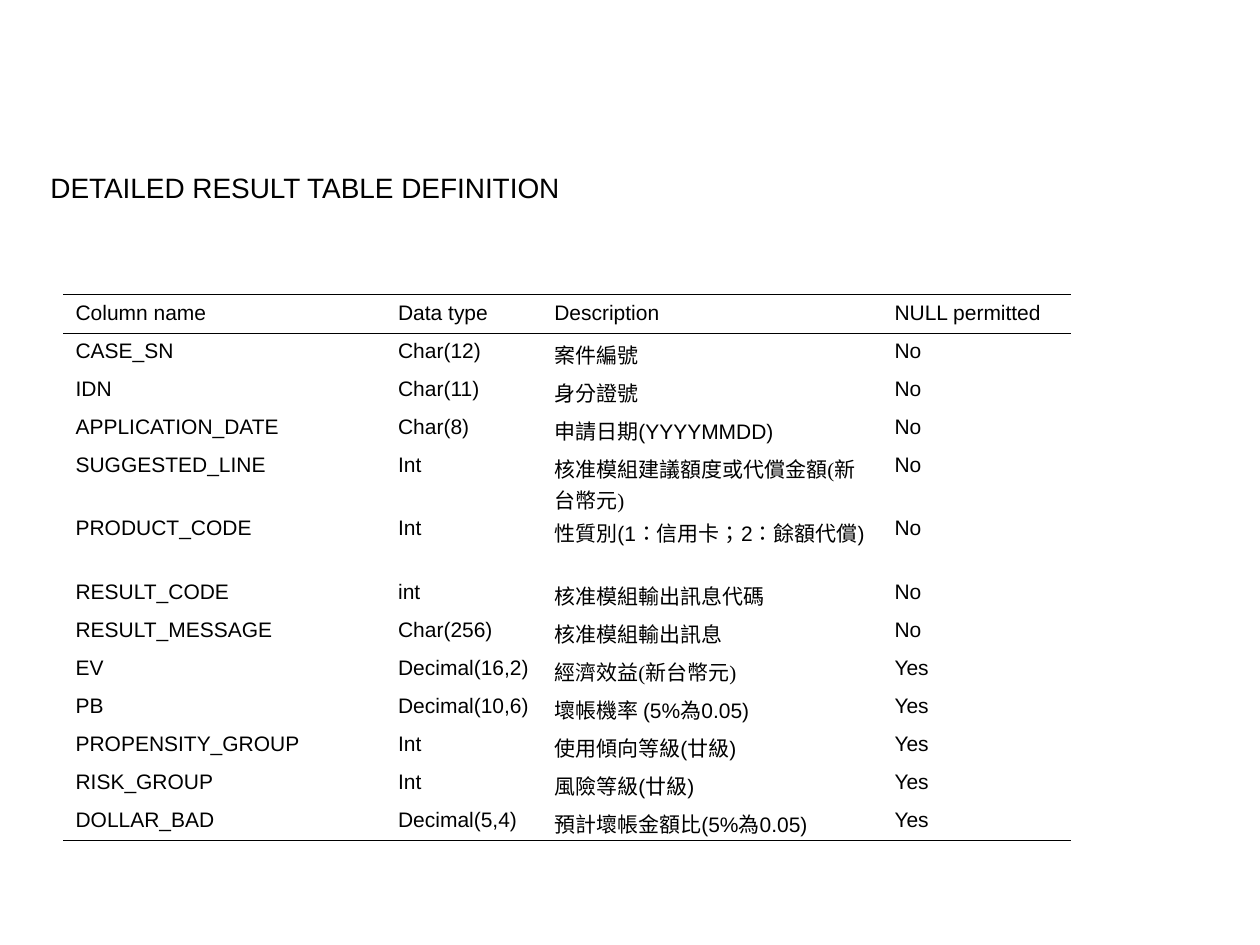
from lxml import etree
from pptx import Presentation
from pptx.dml.color import RGBColor
from pptx.enum.text import MSO_ANCHOR, PP_ALIGN
from pptx.oxml.ns import qn
from pptx.util import Inches, Pt

TOP, LEFT = MSO_ANCHOR.TOP, PP_ALIGN.LEFT
SANS, SERIF = "Arial", "Times New Roman"
INK = "000000"
THIN, THICK = 0.45, 0.75

TITLE = "DETAILED RESULT TABLE DEFINITION"
HEAD = ("Column name", "Data type", "Description", "NULL permitted")
# A description made of several runs is a list of (text, font) pairs.
FIELDS = [
    ("CASE_SN", "Char(12)", "案件編號", "No"),
    ("IDN", "Char(11)", "身分證號", "No"),
    ("APPLICATION_DATE", "Char(8)", "申請日期(YYYYMMDD)", "No"),
    ("SUGGESTED_LINE", "Int",
     [("核准模組建議額度或代償金額(", SERIF), ("新台幣元", SANS), (")", SERIF)], "No"),
    ("PRODUCT_CODE", "Int", "性質別(1：信用卡；2：餘額代償)", "No"),
    ("RESULT_CODE", "int", "核准模組輸出訊息代碼", "No"),
    ("RESULT_MESSAGE", "Char(256)", "核准模組輸出訊息", "No"),
    ("EV", "Decimal(16,2)",
     [("經濟效益", SANS), ("(", SERIF), ("新台幣元", SANS), (")", SERIF)], "Yes"),
    ("PB", "Decimal(10,6)", "壞帳機率 (5%為0.05)", "Yes"),
    ("PROPENSITY_GROUP", "Int", "使用傾向等級(廿級)", "Yes"),
    ("RISK_GROUP", "Int", "風險等級(廿級)", "Yes"),
    ("DOLLAR_BAD", "Decimal(5,4)", "預計壞帳金額比(5%為0.05)", "Yes"),
]
ROWS = [HEAD] + FIELDS
WIDTHS = (2.56, 1.24, 2.7, 1.5)
TALL = ("SUGGESTED_LINE", "PRODUCT_CODE")
HEIGHTS = [Pt(36.3 if row[0] in TALL else 21.75) for row in ROWS]


def color(code):
    return RGBColor.from_string(code)


def write(frame, text, size):
    para = frame.paragraphs[0]
    para.alignment = LEFT
    para.space_before = Pt(0)
    for part, face in [(text, SANS)] if isinstance(text, str) else text:
        run = para.add_run()
        run.text = part
        run.font.name = face
        run.font.size = Pt(size)
        run.font.bold = False
        run.font.color.rgb = color(INK)
        if not part.isascii():
            run._r.get_or_add_rPr().set("lang", "zh-TW")


def pad(box, foot=0.05):
    box.margin_left = box.margin_right = Inches(0.1)
    box.margin_top, box.margin_bottom = Inches(0.05), Inches(foot)
    box.vertical_anchor = TOP


def rule(cell, edges):
    """Draw the edges given as {side: points}; clear the other sides."""
    props = cell._tc.get_or_add_tcPr()
    for side in "LRTB":
        line = etree.SubElement(props, qn("a:ln" + side))
        if side in edges:
            line.set("w", str(Pt(edges[side])))
            fill = etree.SubElement(line, qn("a:solidFill"))
            etree.SubElement(fill, qn("a:srgbClr"), val=INK)
        else:
            line.set("w", "0")
            etree.SubElement(line, qn("a:noFill"))


deck = Presentation()
deck.slide_width, deck.slide_height = Inches(10), Inches(7.5)
slide = deck.slides.add_slide(deck.slide_layouts[5])

title = slide.shapes.title
title.left, title.top = Inches(0.3), Inches(1.3)
title.width, title.height = Inches(9.29), Inches(0.37)
title.text_frame.word_wrap = True
pad(title.text_frame)
write(title.text_frame, TITLE, 16)

table = slide.shapes.add_table(
    len(ROWS), len(WIDTHS), Inches(0.5), Inches(2.34),
    Inches(sum(WIDTHS)), sum(HEIGHTS)).table
table.first_row = table.horz_banding = False
for col, width in zip(table.columns, WIDTHS):
    col.width = Inches(width)
for row, height in zip(table.rows, HEIGHTS):
    row.height = height

EDGES = {0: {"T": THICK, "B": THIN}, 1: {"T": THIN}, len(ROWS) - 1: {"B": THICK}}
for r, row in enumerate(ROWS):
    for c, text in enumerate(row):
        cell = table.cell(r, c)
        # The tall Chinese line height must not stretch the rows.
        pad(cell, -0.03 if HEAD[c] == "Description" else 0.05)
        rule(cell, EDGES.get(r, {}))
        cell.fill.background()
        write(cell.text_frame, text, 12)

deck.save("out.pptx")
